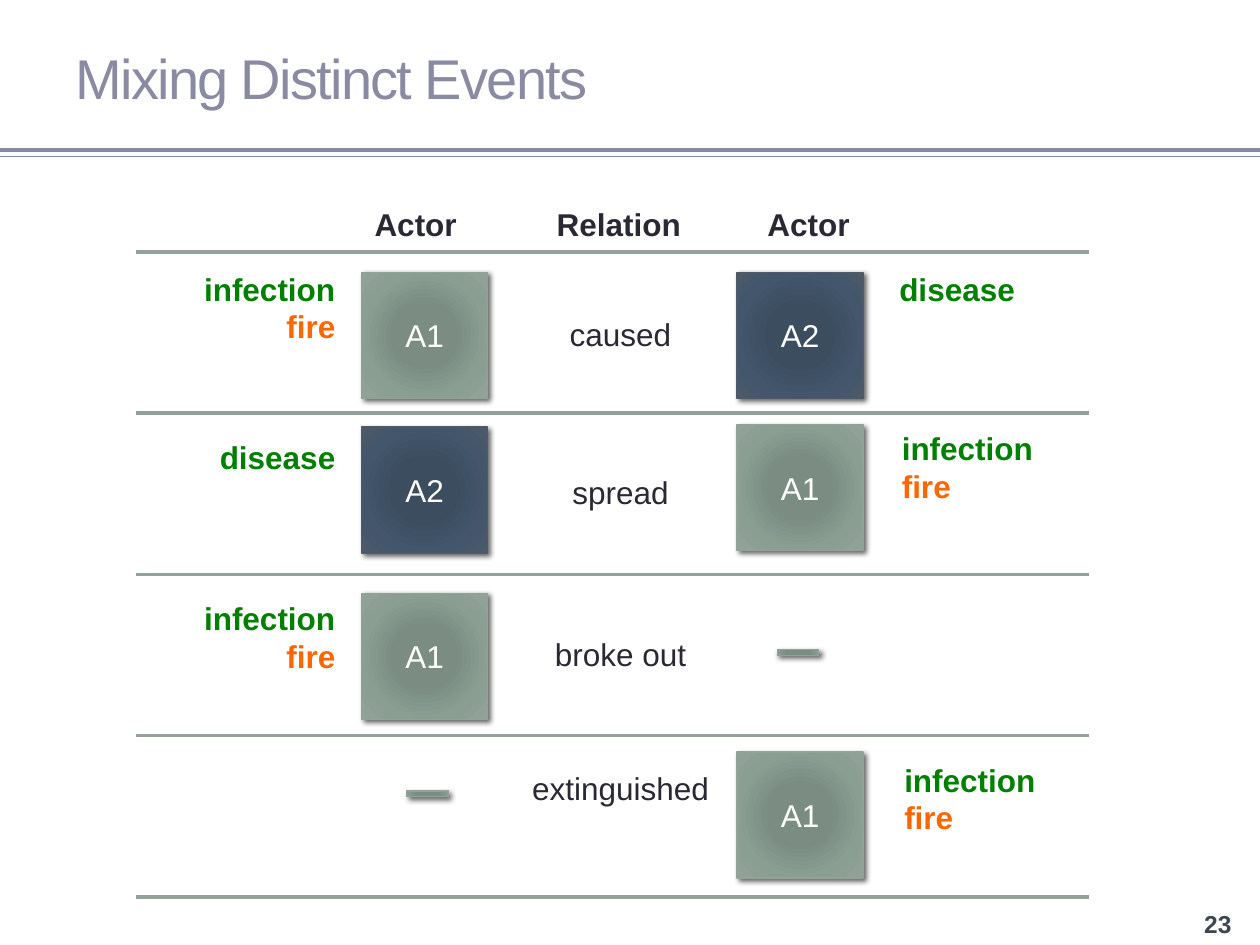
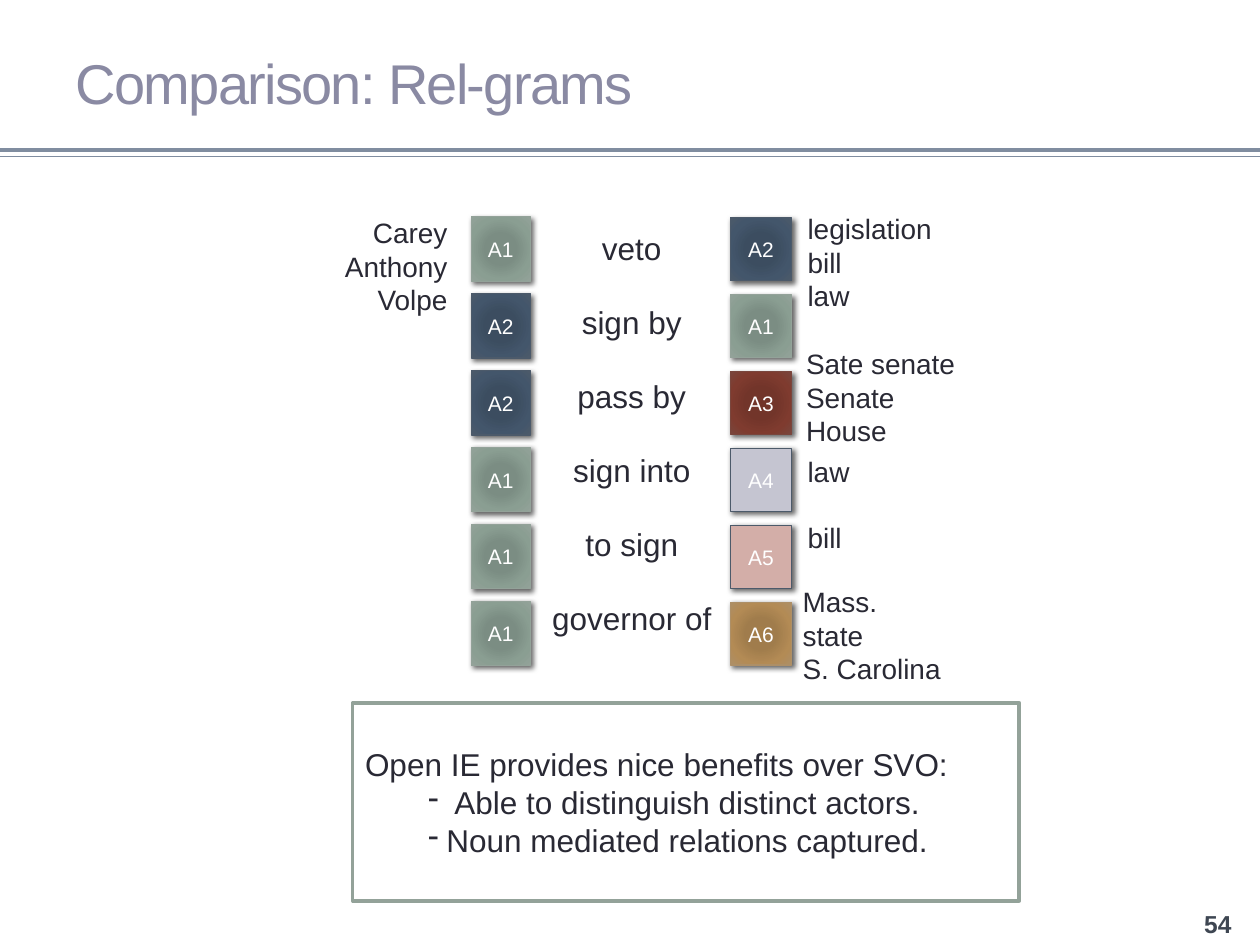
import itertools

import lxml.etree
import pptx
import pptx.dml.color
import pptx.enum.shapes
import pptx.enum.text
import pptx.oxml
import pptx.oxml.ns
import pptx.util

Cm = pptx.util.Cm
Pt = pptx.util.Pt
RGB = pptx.dml.color.RGBColor.from_string
qn = pptx.oxml.ns.qn
ALIGN = pptx.enum.text.PP_ALIGN
MIDDLE = pptx.enum.text.MSO_ANCHOR.MIDDLE
SHAPE = pptx.enum.shapes.MSO_SHAPE
STRAIGHT = pptx.enum.shapes.MSO_CONNECTOR.STRAIGHT
FONT = "Arial"

COLORS = {
    "title": "8A8AA3",
    "band": "808DA0",
    "number": "3E4652",
    "ink": "292934",
    "rule": "93A299",
    "outline": "4C5A6A",
    "green": "008000",
    "orange": "FF6600",
    "white": "FFFFFF",
}
ACTOR_FILLS = {
    "A1": ["7B8E82", "7B8D83", "8A9E92", "93A299"],
    "A2": ["3B4D61", "3C4D60", "43566B", "4C5A6A"],
    "A3": ["743327", "72352A", "7F3B2F", "79463D"],
    "A4": ["C5C5D1"],
    "A5": ["D3AEA8"],
    "A6": ["A37D49", "A07C4C", "B38B55", "AD8F67"],
}
STOPS = [0, 34000, 70000, 100000]
NAMESPACE = 'xmlns:a="http://schemas.openxmlformats.org/drawingml/2006/main"'
SHADOW = (f'<a:outerShdw {NAMESPACE} blurRad="38100" dist="25400" dir="2700000" rotWithShape="0">'
          '<a:srgbClr val="000000"><a:alpha val="60000"/></a:srgbClr></a:outerShdw>')


def add_words(page, area, lines, size=18, inks=("ink",), align=ALIGN.LEFT, bold=False, wrap=True, gap=0):
    box = page.shapes.add_textbox(*map(Cm, area))
    frame = box.text_frame
    frame.text = "\n".join(lines)
    frame.word_wrap = wrap
    for index, (para, ink) in enumerate(zip(frame.paragraphs, itertools.cycle(inks))):
        para.alignment = align
        para.space_before = Pt(gap if index else 0)
        para.font.name = FONT
        para.font.size = Pt(size)
        para.font.bold = bold
        para.font.color.rgb = RGB(COLORS[ink])
    return box


def add_tile(page, area, actor, size=18, outline=SHAPE.RECTANGLE):
    tile = page.shapes.add_shape(outline, *map(Cm, area))
    fills = ACTOR_FILLS[actor]
    tile.fill.solid()
    tile.fill.fore_color.rgb = RGB(fills[0])
    tile.line.width = Pt(0.75)
    tile.line.color.rgb = RGB(fills[-1] if len(fills) > 1 else COLORS["outline"])
    tile.shadow.inherit = False
    properties = tile.element.spPr
    properties.find(qn("a:effectLst")).append(pptx.oxml.parse_xml(SHADOW))
    if len(fills) > 1:
        stops = "".join(f'<a:gs pos="{stop}"><a:srgbClr val="{color}"/></a:gs>'
                        for stop, color in zip(STOPS, fills))
        gradient = pptx.oxml.parse_xml(
            f'<a:gradFill {NAMESPACE} rotWithShape="1"><a:gsLst>{stops}</a:gsLst><a:path path="circle">'
            '<a:fillToRect l="100000" t="100000" r="100000" b="100000"/></a:path></a:gradFill>')
        properties.replace(properties.find(qn("a:solidFill")), gradient)
    if outline == SHAPE.RECTANGLE:
        tile.text_frame.text = actor
        tile.text_frame.vertical_anchor = MIDDLE
        para = tile.text_frame.paragraphs[0]
        para.alignment = ALIGN.CENTER
        para.font.name = FONT
        para.font.size = Pt(size)
        para.font.color.rgb = RGB(COLORS["white"])


deck = pptx.Presentation()
deck.slide_width = Cm(25.4)
deck.slide_height = Cm(19.05)
layout = deck.slide_layouts[5]

pages = []
for title, top, number in [("Mixing Distinct Events", 0.18, "23"), ("Comparison: Rel-grams", 0.28, "54")]:
    page = deck.slides.add_slide(layout)
    heading = page.shapes.title
    heading.left, heading.top, heading.width, heading.height = map(Cm, (1.27, top, 22.86, 2.74))
    heading.text_frame.text = title
    heading.text_frame.vertical_anchor = MIDDLE
    para = heading.text_frame.paragraphs[0]
    para.alignment = ALIGN.LEFT
    span = para.runs[0]
    span.font.name = FONT
    span.font.size = Pt(32)
    span.font.color.rgb = RGB(COLORS["title"])
    span.font._element.set("spc", "-100")
    box = add_words(page, (23.7, 18.16, 1.7, 0.91), [number], 14, ["number"], ALIGN.CENTER, True)
    box.text_frame.vertical_anchor = MIDDLE
    pages.append(page)
events, comparison = pages

rules = [("band", 0, 25.4, 3.02, 2.08), ("band", 0, 25.4, 3.15, 0.75)]
rules += [("rule", 2.74, 21.95, 5.08 + 3.25 * row, 2.08) for row in range(5)]
for ink, left, right, height, width in rules:
    rule = events.shapes.add_connector(STRAIGHT, Cm(left), Cm(height), Cm(right), Cm(height))
    rule.line.width = Pt(width)
    rule.line.color.rgb = RGB(COLORS[ink])
    lxml.etree.SubElement(rule.element.spPr, qn("a:effectLst"))
    if ink == "band":
        layout.shapes.element.append(rule.element)

for header, left, width in [("Actor", 7.29, 2.18), ("Relation", 10.95, 3.05), ("Actor", 15.21, 2.18)]:
    add_words(events, (left, 4.01, width, 1.02), [header], align=ALIGN.CENTER, bold=True, wrap=False)

for relation, top in [("caused", 6.22), ("spread", 9.42), ("broke out", 12.67), ("extinguished", 15.37)]:
    add_words(events, (10.26, top, 4.5, 1.02), [relation], align=ALIGN.CENTER)

for actor, left, top in [
    ("A1", 7.29, 5.49), ("A2", 14.86, 5.49),
    ("A2", 7.29, 8.61), ("A1", 14.86, 8.56),
    ("A1", 7.29, 11.96), ("A1", 14.86, 15.16),
]:
    add_tile(events, (left, top, 2.54, 2.54), actor)
for left, top in [(15.52, 12.9), (8.05, 15.75)]:
    add_tile(events, (left, top, 1.14, 0.51), "A1", outline=SHAPE.MATH_MINUS)

mixed = ["infection", "fire"]
for words, left, top, align in [
    (mixed, 3.63, 5.31, ALIGN.RIGHT), (["disease"], 17.88, 5.31, ALIGN.LEFT),
    (["disease"], 3.63, 8.71, ALIGN.RIGHT), (mixed, 17.93, 8.53, ALIGN.LEFT),
    (mixed, 3.63, 11.96, ALIGN.RIGHT), (mixed, 17.98, 15.21, ALIGN.LEFT),
]:
    add_words(events, (left, top, 3.38, 1.02 if len(words) == 1 else 1.8), words,
              inks=["green", "orange"], align=align, bold=True)

benefits = comparison.shapes.add_shape(SHAPE.RECTANGLE, Cm(7.11), Cm(14.17), Cm(13.44), Cm(3.99))
benefits.shadow.inherit = False
benefits.fill.solid()
benefits.fill.fore_color.rgb = RGB(COLORS["white"])
benefits.line.width = Pt(2.08)
benefits.line.color.rgb = RGB(COLORS["rule"])
frame = benefits.text_frame
frame.text = ("Open IE provides nice benefits over SVO:\n"
              "Able to distinguish distinct actors.\n"
              "Noun mediated relations captured.")
frame.vertical_anchor = MIDDLE
for para, hang in zip(frame.paragraphs, [0, 0.53, 0.37]):
    if hang:
        properties = para._p.get_or_add_pPr()
        properties.set("marL", str(Cm(1.27 + hang)))
        properties.set("indent", str(-Cm(hang)))
        lxml.etree.SubElement(properties, qn("a:buChar")).set("char", "-")
    para.alignment = ALIGN.LEFT
    para.font.name = FONT
    para.font.size = Pt(18)
    para.font.color.rgb = RGB(COLORS["ink"])

relations = [
    ("A1", "veto", "A2"),
    ("A2", "sign by", "A1"),
    ("A2", "pass by", "A3"),
    ("A1", "sign into", "A4"),
    ("A1", "to sign", "A5"),
    ("A1", "governor of", "A6"),
]
add_words(comparison, (10.74, 4.5, 3.99, 9.5), [relation for _, relation, _ in relations],
          align=ALIGN.CENTER, gap=20.7)
for row, (subject, _, target) in enumerate(relations):
    top = 4.37 + 1.55 * row
    add_tile(comparison, (9.5, top, 1.19, 1.3), subject, 12)
    add_tile(comparison, (14.72, top + 0.02, 1.24, 1.27), target, 12)

add_words(comparison, (6.2, 4.22, 3.07, 2.31), ["Carey", "Anthony", "Volpe"], 16, align=ALIGN.RIGHT)
for words, left, top, gap in [
    (["legislation", "bill", "law"], 16.03, 4.14, 0),
    (["Sate senate", "Senate", "House"], 16, 6.86, 0),
    (["law", "bill"], 16.03, 9.04, 18.4),
    (["Mass.", "state", "S. Carolina"], 15.93, 11.66, 0),
]:
    add_words(comparison, (left, top, 3.63, 2.31), words, 16, gap=gap)

deck.save("out.pptx")
